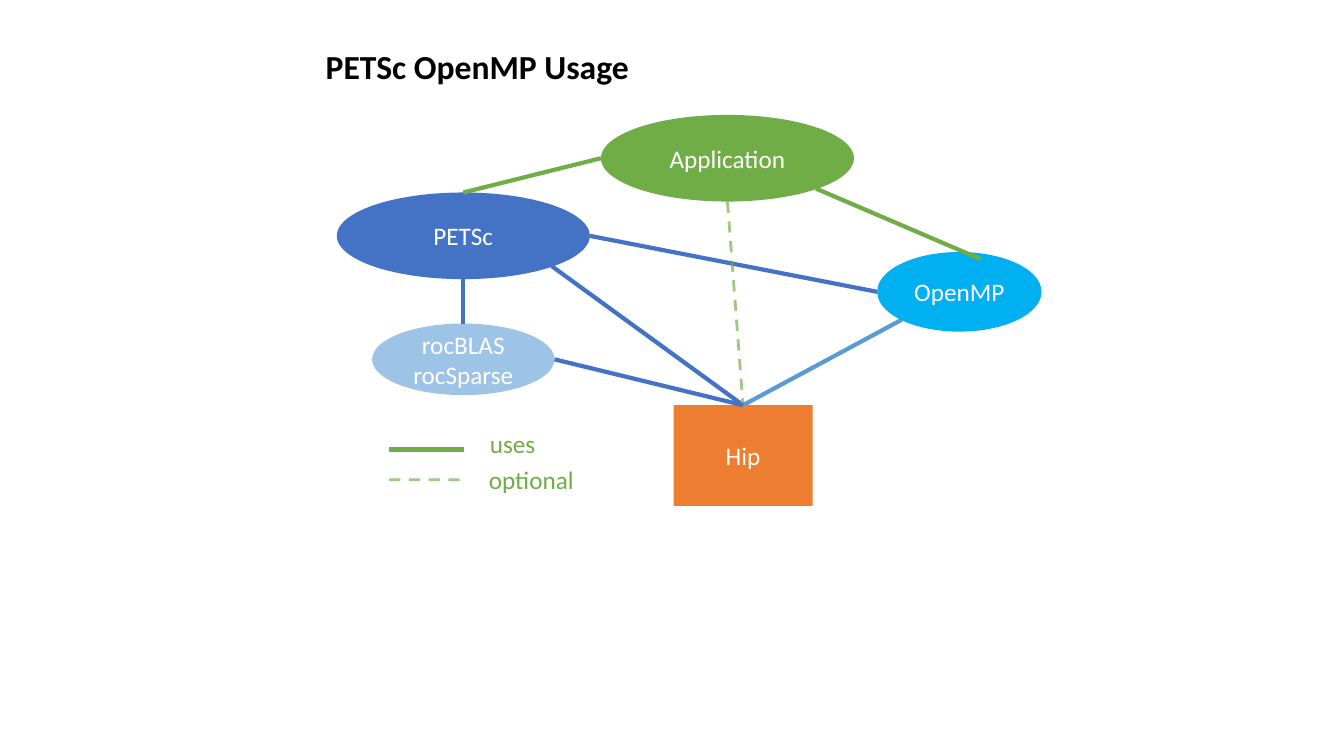
from lxml import etree
from pptx import Presentation
from pptx.dml.color import RGBColor
from pptx.enum import dml, shapes, text
from pptx.oxml import ns
from pptx.util import Inches, Pt

GREEN = RGBColor(0x70, 0xAD, 0x47)
BLUE = RGBColor(0x44, 0x72, 0xC4)
SKY = RGBColor(0x5B, 0x9B, 0xD5)
PALE = RGBColor(0x9D, 0xC3, 0xE6)
CYAN = RGBColor(0x00, 0xB0, 0xF0)
ORANGE = RGBColor(0xED, 0x7D, 0x31)
WHITE = RGBColor(0xFF, 0xFF, 0xFF)
BLACK = RGBColor(0x00, 0x00, 0x00)

OVAL = shapes.MSO_SHAPE.OVAL
RECT = shapes.MSO_SHAPE.RECTANGLE

NODES = {
    "app": (OVAL, "Application", GREEN, (5.96, 1.14, 2.51, 0.86)),
    "petsc": (OVAL, "PETSc", BLUE, (3.34, 1.91, 2.51, 0.86)),
    "hip": (RECT, "Hip", ORANGE, (6.68, 4.02, 1.38, 1)),
    "roc": (OVAL, "rocBLAS\nrocSparse", PALE, (3.69, 3.21, 1.81, 0.71)),
    "omp": (OVAL, "OpenMP", CYAN, (8.7, 2.5, 1.63, 0.79)),
}

TOP, LEFT, BASE, RIGHT = (0.5, 0), (0, 0.5), (0.5, 1), (1, 0.5)
LOW_LEFT, LOW_RIGHT = (0.15, 0.85), (0.85, 0.85)
RIM = (0.63, 0.09)

LINKS = [
    ("petsc", BASE, "roc", TOP, BLUE, False),
    ("app", LOW_RIGHT, "omp", RIM, GREEN, False),
    ("app", LEFT, "petsc", TOP, GREEN, False),
    ("petsc", RIGHT, "omp", LEFT, BLUE, False),
    ("petsc", LOW_RIGHT, "hip", TOP, BLUE, False),
    ("app", BASE, "hip", TOP, GREEN, True),
    ("roc", RIGHT, "hip", TOP, BLUE, False),
]

LEGEND = [
    ("uses", 4.46, False, (4.76, 4.2, 0.66, 0.4)),
    ("optional", 4.76, True, (4.75, 4.56, 1.05, 0.4)),
]


def style(frame, color, size=18, bold=False, align=None):
    for para in frame.paragraphs:
        para.alignment = align
        for run in para.runs:
            font = run.font
            font.name = "Calibri"
            font.size = Pt(size)
            font.bold = bold
            font.color.rgb = color


def add_title(slide):
    title = slide.shapes.title
    title.left, title.top = Inches(3.13), Inches(0.41)
    title.width, title.height = Inches(7.46), Inches(0.55)
    frame = title.text_frame
    frame.text = "PETSc OpenMP Usage"
    frame.word_wrap = True
    frame.auto_size = text.MSO_AUTO_SIZE.NONE
    frame.vertical_anchor = text.MSO_ANCHOR.MIDDLE
    frame.paragraphs[0].line_spacing = 0.9
    style(frame, BLACK, 24, True, text.PP_ALIGN.LEFT)


def add_node(slide, kind, label, color, box):
    node = slide.shapes.add_shape(kind, *map(Inches, box))
    node.shadow.inherit = False
    node.fill.solid()
    node.fill.fore_color.rgb = color
    node.line.fill.background()
    frame = node.text_frame
    frame.text = label
    frame.word_wrap = True
    frame.vertical_anchor = text.MSO_ANCHOR.MIDDLE
    style(frame, WHITE, align=text.PP_ALIGN.CENTER)


def add_line(slide, start, end, color, dashed=False):
    line = slide.shapes.add_connector(
        shapes.MSO_CONNECTOR.STRAIGHT, *map(Inches, start + end))
    line.line.color.rgb = color
    line.line.width = Pt(2 if dashed else 3)
    if dashed:
        line.line.dash_style = dml.MSO_LINE.DASH
        tint = line.line._ln.find(".//" + ns.qn("a:srgbClr"))
        etree.SubElement(tint, ns.qn("a:alpha"), val="65000")
    etree.SubElement(line._element.spPr, ns.qn("a:effectLst"))


def spot(name, site):
    x, y, w, h = NODES[name][3]
    return x + w * site[0], y + h * site[1]


def add_link(slide, tail, exit, head, entry, color, dashed):
    add_line(slide, spot(tail, exit), spot(head, entry), color, dashed)


def add_key(slide, label, y, dashed, box):
    add_line(slide, (3.86, y), (4.6, y), GREEN, dashed)
    frame = slide.shapes.add_textbox(*map(Inches, box)).text_frame
    frame.text = label
    frame.word_wrap = False
    frame.auto_size = text.MSO_AUTO_SIZE.SHAPE_TO_FIT_TEXT
    style(frame, GREEN)


def main():
    deck = Presentation()
    deck.slide_width, deck.slide_height = Inches(13.33), Inches(7.5)
    slide = deck.slides.add_slide(deck.slide_layouts[5])
    add_title(slide)
    add_link(slide, "omp", LOW_LEFT, "hip", TOP, SKY, False)
    for node in NODES.values():
        add_node(slide, *node)
    for link in LINKS:
        add_link(slide, *link)
    for key in LEGEND:
        add_key(slide, *key)
    deck.save("out.pptx")


main()
